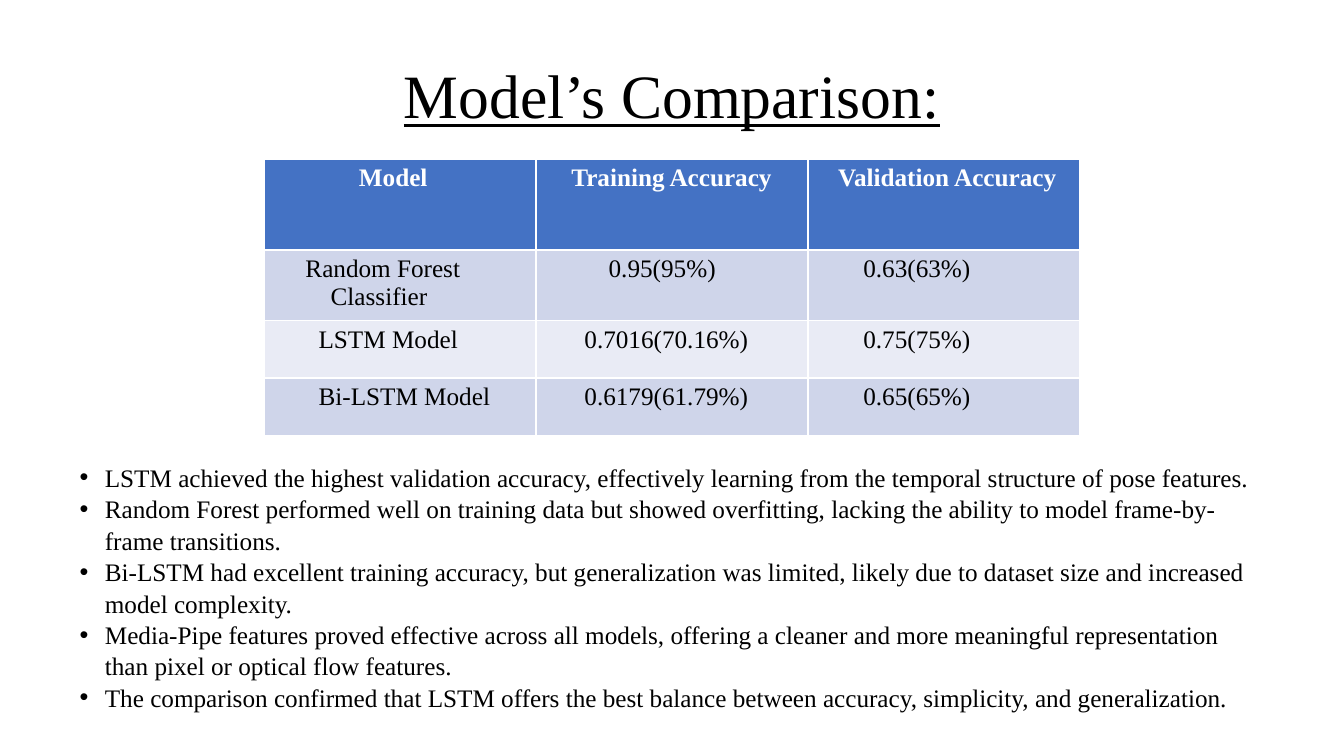
"""Build the slide comparing the accuracy of three models."""
import lxml.etree
import pptx
import pptx.dml.color
import pptx.enum.text
import pptx.oxml.ns
import pptx.util

Inches = pptx.util.Inches


def add_run(paragraph, text, size, color, bold=False, underline=False):
    run = paragraph.add_run()
    run.text = text
    run.font.name = "Times New Roman"
    run.font.size = pptx.util.Pt(size)
    run.font.bold = bold
    run.font.underline = underline
    run.font.color.rgb = pptx.dml.color.RGBColor.from_string(color)


def place(shape, left, top, width, height):
    shape.left, shape.top = Inches(left), Inches(top)
    shape.width, shape.height = Inches(width), Inches(height)
    shape.text_frame.word_wrap = True
    shape.text_frame.vertical_anchor = pptx.enum.text.MSO_ANCHOR.MIDDLE


presentation = pptx.Presentation()
presentation.slide_width = Inches(13.33)
presentation.slide_height = Inches(7.5)
slide = presentation.slides.add_slide(presentation.slide_layouts[1])

title = slide.shapes.title
place(title, 0, 0.41, 13.33, 1.14)
title.text_frame.auto_size = pptx.enum.text.MSO_AUTO_SIZE.NONE
heading = title.text_frame.paragraphs[0]
heading.alignment = pptx.enum.text.PP_ALIGN.CENTER
heading.line_spacing = 0.9
add_run(heading, "Model’s Comparison:", 44, "000000", underline=True)

findings = [
    "LSTM achieved the highest validation accuracy, effectively learning from the temporal structure of pose features.",
    "Random Forest performed well on training data but showed overfitting, lacking the ability to model frame-by-frame transitions.",
    "Bi-LSTM had excellent training accuracy, but generalization was limited, likely due to dataset size and increased model complexity.",
    "Media-Pipe features proved effective across all models, offering a cleaner and more meaningful representation than pixel or optical flow features.",
    "The comparison confirmed that LSTM offers the best balance between accuracy, simplicity, and generalization.",
]
body = slide.placeholders[1]
place(body, 0.69, 4.56, 11.96, 2.52)
body.text_frame.auto_size = pptx.enum.text.MSO_AUTO_SIZE.SHAPE_TO_FIT_TEXT
for index, finding in enumerate(findings):
    paragraph = body.text_frame.add_paragraph() if index else body.text_frame.paragraphs[0]
    paragraph.space_before = pptx.util.Pt(0)
    paragraph.line_spacing = 1.04
    properties = paragraph._p.get_or_add_pPr()
    properties.set("marL", str(Inches(0.25)))
    properties.set("indent", str(Inches(-0.25)))
    font = lxml.etree.SubElement(properties, pptx.oxml.ns.qn("a:buFont"))
    font.set("typeface", "Arial")
    bullet = lxml.etree.SubElement(properties, pptx.oxml.ns.qn("a:buChar"))
    bullet.set("char", "•")
    add_run(paragraph, finding, 18, "000000")

# Each cell holds lines of text with their left indent in inches.
rows = [
    [[("Model", 0.94)], [("Training Accuracy", 0.35)], [("Validation Accuracy", 0.3)]],
    [[("Random Forest", 0.41), ("Classifier", 0.66)], [("0.95(95%)", 0.72)], [("0.63(63%)", 0.55)]],
    [[("LSTM Model", 0.54)], [("0.7016(70.16%)", 0.48)], [("0.75(75%)", 0.55)]],
    [[("Bi-LSTM Model", 0.54)], [("0.6179(61.79%)", 0.48)], [("0.65(65%)", 0.55)]],
]
row_heights = [0.9, 0.7, 0.57, 0.57]
row_fills = ["4472C4", "CFD5EA", "E9EBF5", "CFD5EA"]
table = slide.shapes.add_table(
    len(rows), 3, Inches(2.62), Inches(1.58), Inches(8.09), Inches(sum(row_heights))
).table
for row_index, row in enumerate(rows):
    table.rows[row_index].height = Inches(row_heights[row_index])
    header = row_index == 0
    for column_index, lines in enumerate(row):
        cell = table.cell(row_index, column_index)
        cell.margin_left = cell.margin_right = 0
        cell.fill.solid()
        cell.fill.fore_color.rgb = pptx.dml.color.RGBColor.from_string(row_fills[row_index])
        for line_index, (text, indent) in enumerate(lines):
            paragraph = cell.text_frame.add_paragraph() if line_index else cell.text_frame.paragraphs[0]
            paragraph._p.get_or_add_pPr().set("marL", str(Inches(indent)))
            add_run(paragraph, text, 18, "FFFFFF" if header else "000000", bold=header)

presentation.save("out.pptx")
